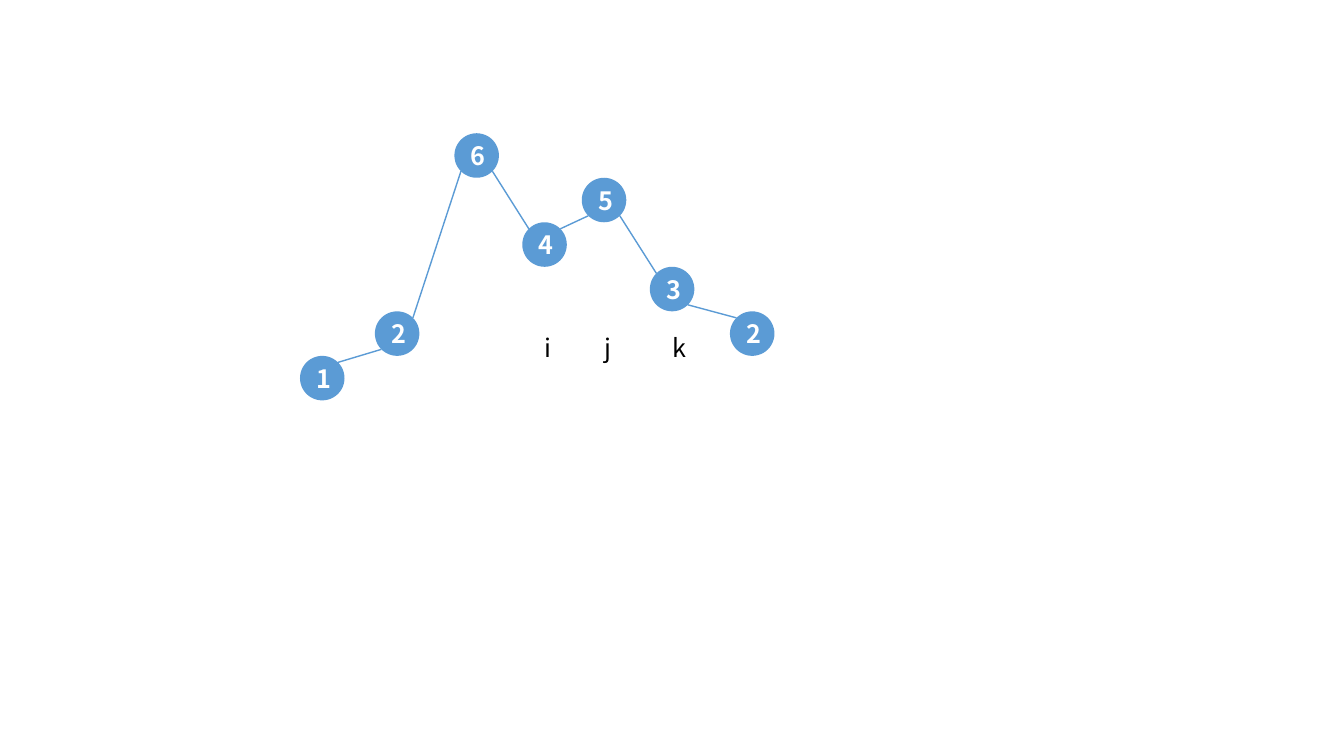
from dataclasses import dataclass
from math import sqrt

from lxml.etree import SubElement
from pptx import Presentation
from pptx.dml.color import RGBColor
from pptx.enum.shapes import MSO_CONNECTOR, MSO_SHAPE
from pptx.enum.text import MSO_ANCHOR, MSO_AUTO_SIZE, PP_ALIGN
from pptx.oxml.ns import qn
from pptx.slide import Slide
from pptx.text.text import TextFrame
from pptx.util import Pt

COLORS = {"node": "5B9BD5", "digit": "FFFFFF", "index": "000000"}
DIAMETER = 31.8  # also the rise for one unit of value
BASE_TOP = 254.2  # top of a node with value 1
DIAGONAL = DIAMETER / 2 / sqrt(2)  # offset from centre to a diagonal rim point


@dataclass
class Node:
    value: int
    left: float

    @property
    def top(self) -> float:
        return BASE_TOP - (self.value - 1) * DIAMETER

    def rim(self, across: int, down: int) -> tuple[Pt, Pt]:
        """Point on the circle along a diagonal; each direction is -1 or 1."""
        return (Pt(self.left + DIAMETER / 2 + across * DIAGONAL),
                Pt(self.top + DIAMETER / 2 + down * DIAGONAL))


@dataclass
class Index:
    name: str
    left: float


SEQUENCE = [Node(1, 214.3), Node(2, 267.8), Node(6, 324.6), Node(4, 373.1),
            Node(5, 415.6), Node(3, 464.2), Node(2, 521.4)]
INDICES = [Index("i", 381.6), Index("j", 424.8), Index("k", 473.0)]


def rgb(name: str) -> RGBColor:
    return RGBColor.from_string(COLORS[name])


def write(frame: TextFrame, text: str, color: str, bold: bool = False) -> None:
    run = frame.paragraphs[0].add_run()
    run.text = text
    font_format = {"name": "Noto Sans CJK SC", "size": Pt(18), "bold": bold}
    for attribute, value in font_format.items():
        setattr(run.font, attribute, value)
    run.font.color.rgb = rgb(color)


def draw_index(slide: Slide, index: Index) -> None:
    label = slide.shapes.add_textbox(Pt(index.left), Pt(234), Pt(77), Pt(29))
    frame = label.text_frame
    frame.word_wrap = True
    frame.auto_size = MSO_AUTO_SIZE.SHAPE_TO_FIT_TEXT
    write(frame, index.name, "index")


def draw_node(slide: Slide, node: Node) -> None:
    circle = slide.shapes.add_shape(MSO_SHAPE.OVAL, Pt(node.left), Pt(node.top),
                                    Pt(DIAMETER), Pt(DIAMETER))
    circle.shadow.inherit = False
    circle.fill.solid()
    circle.fill.fore_color.rgb = rgb("node")
    circle.line.fill.background()
    frame = circle.text_frame
    frame.vertical_anchor = MSO_ANCHOR.MIDDLE
    frame.paragraphs[0].alignment = PP_ALIGN.CENTER
    write(frame, str(node.value), "digit", bold=True)


def draw_link(slide: Slide, start: Node, end: Node) -> None:
    down = 1 if end.value < start.value else -1
    link = slide.shapes.add_connector(MSO_CONNECTOR.STRAIGHT,
                                      *start.rim(1, down), *end.rim(-1, -down))
    link.line.color.rgb = rgb("node")
    link.line.width = Pt(1)
    SubElement(link._element.spPr, qn("a:effectLst"))


def main() -> None:
    presentation = Presentation()
    presentation.slide_width, presentation.slide_height = Pt(960), Pt(540)
    slide = presentation.slides.add_slide(presentation.slide_layouts[6])

    # Index labels under the chain
    for index in INDICES:
        draw_index(slide, index)
    # Numbered nodes, higher for larger values
    for node in SEQUENCE:
        draw_node(slide, node)
    # Links between neighbours
    for start, end in zip(SEQUENCE, SEQUENCE[1:]):
        draw_link(slide, start, end)

    presentation.save("out.pptx")


if __name__ == "__main__":
    main()
